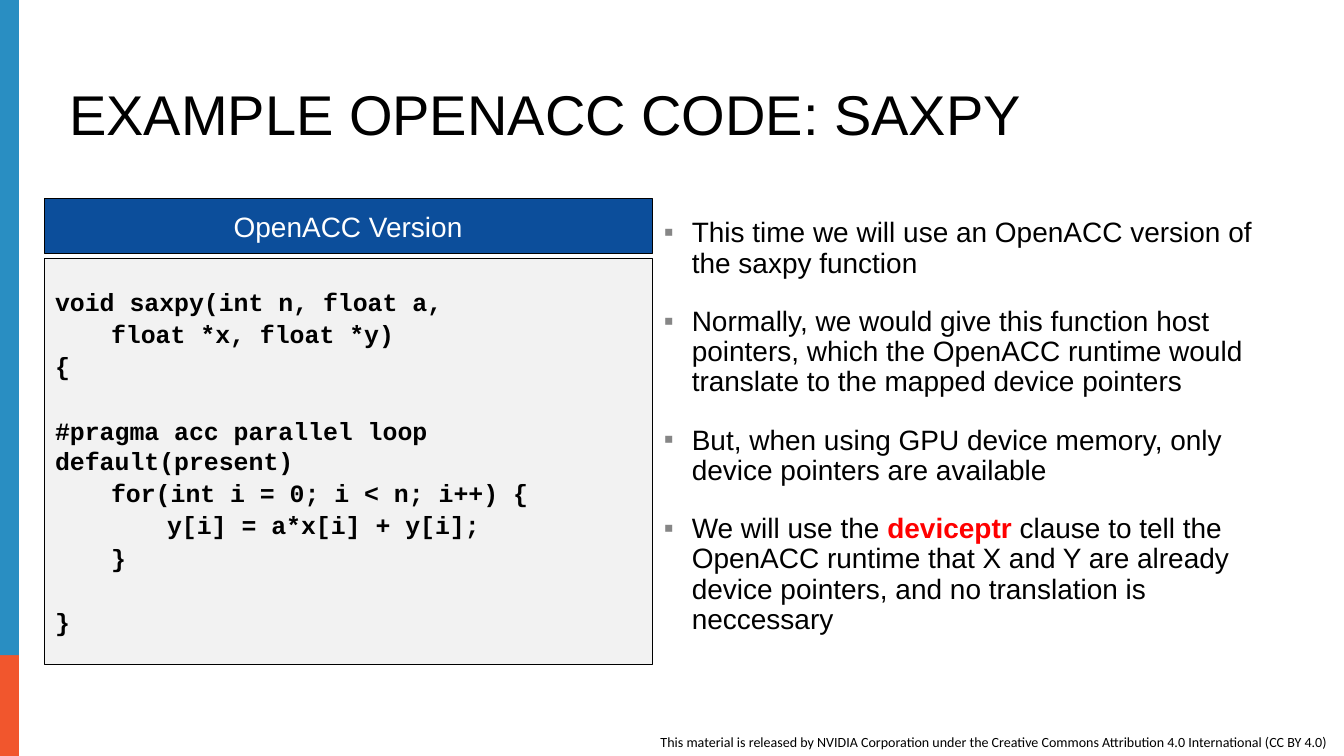
from dataclasses import dataclass
from typing import NamedTuple

from lxml.etree import SubElement
from pptx import Presentation
from pptx.dml.color import RGBColor
from pptx.enum.shapes import MSO_SHAPE
from pptx.enum.text import MSO_ANCHOR, MSO_AUTO_SIZE, PP_ALIGN
from pptx.oxml.ns import qn
from pptx.util import Cm, Pt


@dataclass(frozen=True)
class Theme:
    black: str = "000000"
    white: str = "FFFFFF"
    orange: str = "F1562D"
    blue: str = "298EC2"
    navy: str = "0C4E9B"
    pale: str = "F2F2F2"
    red: str = "FF0000"
    bullet: str = "868686"
    sans: str = "Arial"
    mono: str = "Courier New"
    small: str = "Calibri"
    title: int = 36
    body: int = 18
    code: int = 16
    note: int = 9


class Box(NamedTuple):
    left: float
    top: float
    width: float
    height: float

    def size(self):
        return [Cm(n) for n in self]


@dataclass(frozen=True)
class Panel:
    box: Box
    fill: str
    edge: bool = False


class Line(NamedTuple):
    text: str
    gap: float = 1.4


LOOK = Theme()
BLANK = 22.2  # space before a line that follows an empty code line
TAB = Cm(1.27)

ORANGE = Panel(Box(-0.08, 12.88, 0.51, 4.27), LOOK.orange)
BLUE = Panel(Box(-0.08, 0, 0.51, 14.86), LOOK.blue)
CODE = Panel(Box(1, 5.85, 13.79, 9.22), LOOK.pale, True)
HEAD = Panel(Box(1, 4.5, 13.79, 1.25), LOOK.navy, True)
TITLE = Box(1.32, 1.83, 27.71, 1.65)
BODY = Box(14.8, 4.83, 14.22, 10.34)
NOTE = Box(14.73, 16.51, 17.17, 0.64)

SOURCE = [
    Line("void saxpy(int n, float a,", 0),
    Line("\tfloat *x, float *y)"),
    Line("{"),
    Line("#pragma acc parallel loop default(present)", BLANK),
    Line("\tfor(int i = 0; i < n; i++) {"),
    Line("\t\ty[i] = a*x[i] + y[i];"),
    Line("\t}"),
    Line("}", BLANK),
]
KEY = "deviceptr"
POINTS = [
    "This time we will use an OpenACC version of the saxpy function",
    "Normally, we would give this function host pointers, which the "
    "OpenACC runtime would translate to the mapped device pointers",
    "But, when using GPU device memory, only device pointers are available",
    f"We will use the {KEY} clause to tell the OpenACC runtime that X and Y "
    "are already device pointers, and no translation is neccessary",
]
CREDIT = ("This material is released by NVIDIA Corporation under the Creative "
          "Commons Attribution 4.0 International (CC BY 4.0)")


def style(item, face: str, size: int, tint: str, bold: bool = False) -> None:
    """Format a run or a paragraph."""
    font = item.font
    font.name, font.size, font.bold = face, Pt(size), bold
    font.color.rgb = RGBColor.from_string(tint)


def place(shape, box: Box) -> None:
    shape.left, shape.top, shape.width, shape.height = box.size()


def draw(slide, panel: Panel):
    shape = slide.shapes.add_shape(MSO_SHAPE.RECTANGLE, *panel.box.size())
    shape.shadow.inherit = False
    shape.fill.solid()
    shape.fill.fore_color.rgb = RGBColor.from_string(panel.fill)
    if panel.edge:
        shape.line.color.rgb = RGBColor.from_string(LOOK.black)
        shape.line.width = Pt(0.5)
    else:
        shape.line.fill.background()
    return shape


def rows(frame, texts: list[str]):
    """Write one paragraph per text and return the paragraphs."""
    frame.text = "\n".join(texts)
    return frame.paragraphs


def tabs(para, count: int) -> None:
    stops = SubElement(para._p.get_or_add_pPr(), qn("a:tabLst"))
    for n in range(1, count + 1):
        SubElement(stops, qn("a:tab"), pos=str(n * TAB), algn="l")


def bullet(para) -> None:
    props = para._p.get_or_add_pPr()
    props.set("marL", "228600")
    props.set("indent", "-228600")
    tint = SubElement(props, qn("a:buClr"))
    SubElement(tint, qn("a:srgbClr"), val=LOOK.bullet)
    SubElement(props, qn("a:buFont"), typeface=LOOK.sans)
    SubElement(props, qn("a:buChar"), char="▪")


def listing(slide) -> None:
    frame = draw(slide, CODE).text_frame
    frame.word_wrap = True
    frame.vertical_anchor = MSO_ANCHOR.TOP
    frame.margin_top = Cm(0.65)
    for para, line in zip(rows(frame, [line.text for line in SOURCE]), SOURCE):
        tabs(para, 2)
        para.alignment = PP_ALIGN.LEFT
        para.line_spacing = Pt(19.3)
        para.space_before = Pt(line.gap)
        style(para.runs[0], LOOK.mono, LOOK.code, LOOK.black, True)


def points(shape) -> None:
    place(shape, BODY)
    frame = shape.text_frame
    for para, text in zip(rows(frame, POINTS), POINTS):
        bullet(para)
        para.line_spacing = 0.9
        para.space_before, para.space_after = Pt(0), Pt(18)
        before, key, after = text.partition(KEY)
        para.runs[0].text = before
        for part in filter(None, (key, after)):
            para.add_run().text = part
        for run in para.runs:
            hot = run.text == KEY
            tint = LOOK.red if hot else LOOK.black
            style(run, LOOK.sans, LOOK.body, tint, hot)
    frame.auto_size = MSO_AUTO_SIZE.NONE


def label(frame, text: str, face: str, size: int, tint: str, align) -> None:
    frame.text = text
    frame.word_wrap = True
    para = frame.paragraphs[0]
    para.alignment = align
    style(para.runs[0], face, size, tint)


def main() -> None:
    deck = Presentation()
    deck.slide_width, deck.slide_height = Cm(30.48), Cm(17.145)
    slide = deck.slides.add_slide(deck.slide_layouts[1])
    for bar in (ORANGE, BLUE):
        draw(slide, bar)

    note = slide.shapes.add_textbox(*NOTE.size()).text_frame
    label(note, CREDIT, LOOK.small, LOOK.note, LOOK.black, PP_ALIGN.LEFT)

    title = slide.shapes.title
    place(title, TITLE)
    label(title.text_frame, "EXAMPLE OPENACC CODE: SAXPY", LOOK.sans,
          LOOK.title, LOOK.black, PP_ALIGN.LEFT)
    title.text_frame.paragraphs[0].line_spacing = 0.9
    title.text_frame.vertical_anchor = MSO_ANCHOR.BOTTOM
    title.text_frame.auto_size = MSO_AUTO_SIZE.NONE

    listing(slide)
    head = draw(slide, HEAD).text_frame
    head.vertical_anchor = MSO_ANCHOR.MIDDLE
    label(head, "OpenACC Version", LOOK.sans, LOOK.body, LOOK.white,
          PP_ALIGN.CENTER)
    points(slide.placeholders[1])
    deck.save("out.pptx")


if __name__ == "__main__":
    main()
